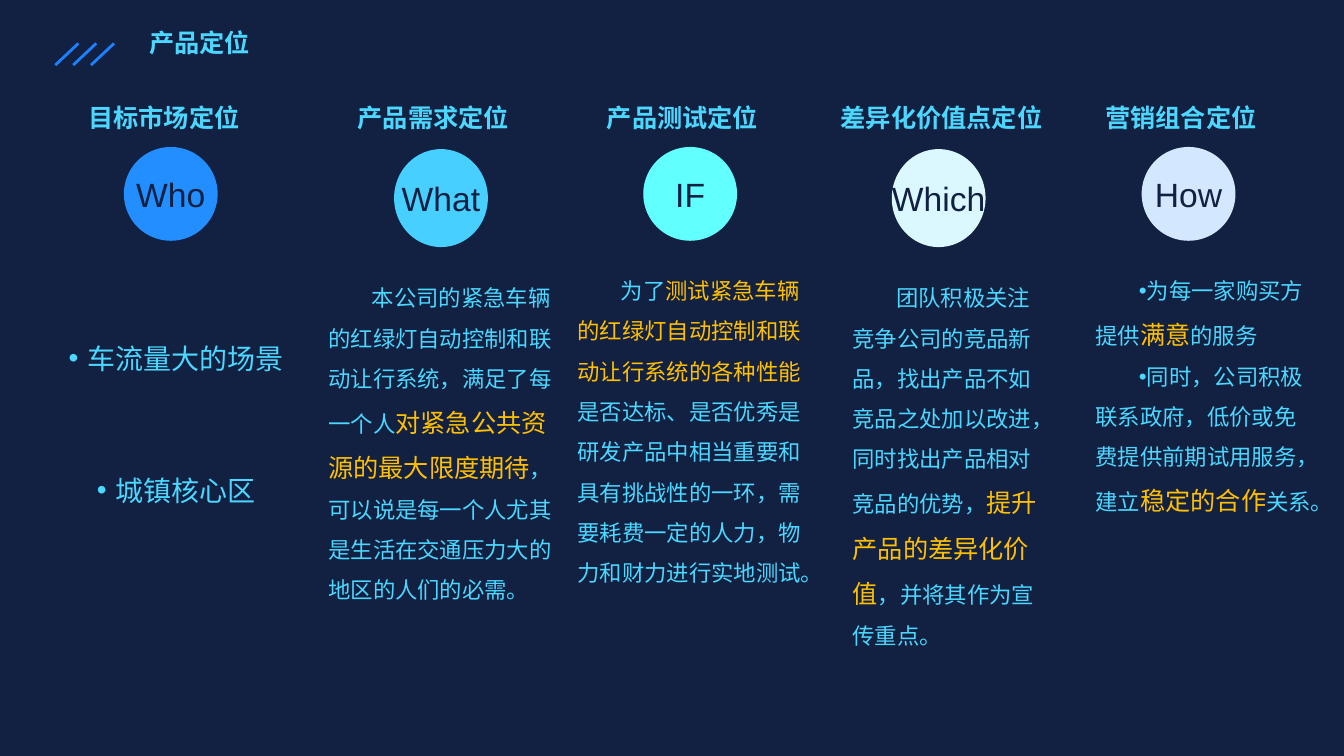
from lxml import etree
from pptx import Presentation
from pptx.dml.color import RGBColor
from pptx.enum.shapes import MSO_CONNECTOR as Connector, MSO_SHAPE as Shape
from pptx.enum.text import MSO_ANCHOR as Anchor, PP_ALIGN as Align
from pptx.oxml.ns import qn
from pptx.util import Pt

NAVY, CYAN, GOLD, BLUE = "122041", "4BD7FF", "FFC000", "1B82FF"
TITLE = "产品定位"

# A run is (text, size, colour); a body is a list of paragraphs.
MARKET = [[("车流量大的场景", 20, CYAN)], [("城镇核心区", 20, CYAN)]]
DEMAND = [[
    ("本公司的紧急车辆的红绿灯自动控制和联动让行系统，满足了每一个人", 16, CYAN),
    ("对紧急公共资源的最大限度期待", 18, GOLD),
    ("，可以说是每一个人尤其是生活在交通压力大的地区的人们的必需。", 16, CYAN),
]]
TESTING = [[
    ("为了", 16, CYAN),
    ("测试紧急车辆的红绿灯自动控制和联动让行系统的各种性能", 16, GOLD),
    ("是否达标、是否优秀是研发产品中相当重要和具有挑战性的一环，"
     "需要耗费一定的人力，物力和财力进行实地测试。", 16, CYAN),
]]
DIFFERENCE = [[
    ("团队积极关注竞争公司的竞品新品，找出产品不如竞品之处加以改进，"
     "同时找出产品相对竞品的优势，", 16, CYAN),
    ("提升产品的差异化价值", 18, GOLD),
    ("，并将其作为宣传重点。", 16, CYAN),
]]
MARKETING = [
    [("为每一家购买方提供", 16, CYAN), ("满意", 18, GOLD), ("的服务", 16, CYAN)],
    [("同时，公司积极联系政府，低价或免费提供前期试用服务，建立", 16, CYAN),
     ("稳定的合作", 18, GOLD), ("关系。", 16, CYAN)],
]

# Paragraph styles: alignment, line spacing, left margin, first-line indent, bullet, space before
CENTRED_LIST = [(Align.CENTER, 1.14, 13.5, -13.5, True, 0),
                (Align.CENTER, 2, 13.5, -13.5, True, 46)]
PROSE = [(Align.LEFT, 1.5, 0, 31, False, 0)]
INDENTED_LIST = [(Align.LEFT, 1.5, 13.5, 31, True, 0)] * 2

# heading, heading box (left, width), word, circle (centre x, top, height), fill,
# body box (left, top, width, height), body, styles
COLUMNS = [
    ("目标市场定位", (56, 133), "Who", (122, 105, 67), "228EFF",
     (34.5, 237, 183, 205), MARKET, CENTRED_LIST),
    ("产品需求定位", (248.5, 133), "What", (315, 106.5, 70), "47CFFF",
     (227.5, 190, 183, 252), DEMAND, PROSE),
    ("产品测试定位", (426.5, 133), "IF", (493, 105, 67), "62FFFF",
     (405.5, 185, 183, 241), TESTING, PROSE),
    ("差异化价值点定位", (593.5, 164), "Which", (670.5, 106.5, 70), "DBF7FF",
     (602, 190, 155.5, 286), DIFFERENCE, PROSE),
    ("营销组合定位", (782.5, 133), "How", (849, 105, 67), "D3E8FF",
     (762, 185, 183, 250), MARKETING, INDENTED_LIST),
]
HEADING_TOP, HEADING_HEIGHT, CIRCLE_WIDTH = 65.5, 27, 67
SLASH_COUNT, SLASH_LEFT, SLASH_STEP = 3, 39.5, 12.75
SLASH_TOP, SLASH_WIDTH, SLASH_HEIGHT = 31, 16.5, 15.5


def color(hex_string):
    return RGBColor.from_string(hex_string)


def add_run(paragraph, text, size, hex_string, bold=False):
    run = paragraph.add_run()
    run.text = text
    run.font.name = "Arial"
    run.font.size = Pt(size)
    run.font.bold = bold
    run.font.color.rgb = color(hex_string)


def add_text_box(slide, left, top, width, height):
    """Add a wrapping text box and return its text frame."""
    box = slide.shapes.add_textbox(Pt(left), Pt(top), Pt(width), Pt(height))
    box.text_frame.word_wrap = True
    return box.text_frame


def add_heading(slide, text, left, top, width, height, spacing):
    paragraph = add_text_box(slide, left, top, width, height).paragraphs[0]
    paragraph.line_spacing = spacing
    add_run(paragraph, text, 18, CYAN, bold=True)


def add_circle(slide, word, center, top, height, fill):
    circle = slide.shapes.add_shape(
        Shape.OVAL, Pt(center - CIRCLE_WIDTH / 2), Pt(top), Pt(CIRCLE_WIDTH), Pt(height))
    circle.shadow.inherit = False
    circle.fill.solid()
    circle.fill.fore_color.rgb = color(fill)
    circle.line.fill.background()
    frame = circle.text_frame
    frame.word_wrap = False
    frame.vertical_anchor = Anchor.MIDDLE
    frame.paragraphs[0].alignment = Align.CENTER
    add_run(frame.paragraphs[0], word, 24, NAVY)


def add_body(slide, box, body, styles):
    frame = add_text_box(slide, *box)
    for index, (runs, style) in enumerate(zip(body, styles)):
        alignment, spacing, margin, indent, bullet, before = style
        paragraph = frame.add_paragraph() if index else frame.paragraphs[0]
        paragraph.alignment = alignment
        paragraph.line_spacing = spacing
        if before:
            paragraph.space_before = Pt(before)
        properties = paragraph._p.get_or_add_pPr()
        properties.set("marL", str(Pt(margin)))
        properties.set("indent", str(Pt(indent)))
        if bullet:
            etree.SubElement(properties, qn("a:buFont")).set("typeface", "Arial")
            etree.SubElement(properties, qn("a:buChar")).set("char", "•")
        for run in runs:
            add_run(paragraph, *run)


def add_slash(slide, left):
    slash = slide.shapes.add_connector(
        Connector.STRAIGHT, Pt(left), Pt(SLASH_TOP + SLASH_HEIGHT),
        Pt(left + SLASH_WIDTH), Pt(SLASH_TOP))
    slash.line.color.rgb = color(BLUE)
    slash.line.width = Pt(2)
    etree.SubElement(slash._element.spPr, qn("a:effectLst"))


def main():
    presentation = Presentation()
    presentation.slide_width, presentation.slide_height = Pt(960), Pt(540)
    slide = presentation.slides.add_slide(presentation.slide_layouts[6])
    slide.background.fill.solid()
    slide.background.fill.fore_color.rgb = color(NAVY)

    for index in range(SLASH_COUNT):
        add_slash(slide, SLASH_LEFT + index * SLASH_STEP)
    add_heading(slide, TITLE, 99.5, 16, 268.5, 29, 1)

    for heading, (left, width), word, circle, fill, box, body, styles in COLUMNS:
        add_circle(slide, word, *circle, fill)
        add_body(slide, box, body, styles)
        add_heading(slide, heading, left, HEADING_TOP, width, HEADING_HEIGHT, 1.2)
    presentation.save("out.pptx")


if __name__ == "__main__":
    main()
